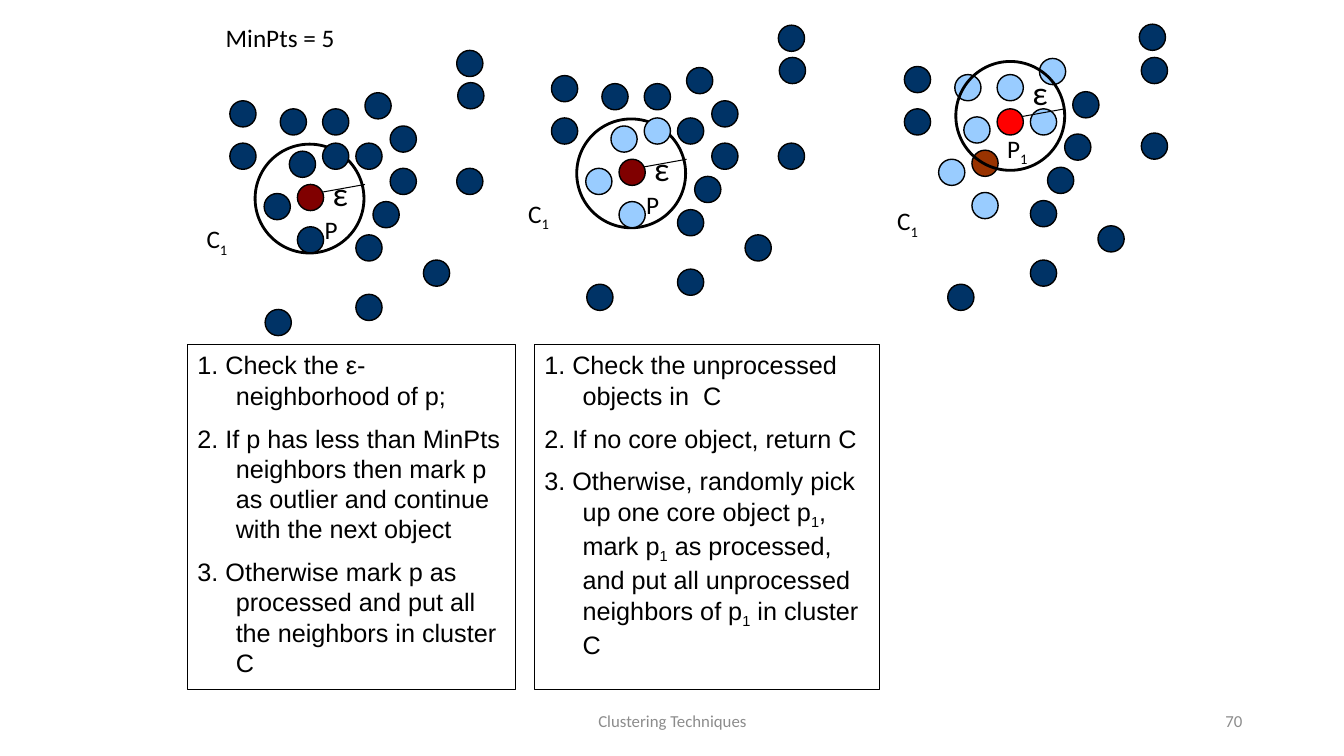
from lxml.etree import SubElement
from pptx import Presentation
from pptx.dml.color import RGBColor
from pptx.enum.shapes import MSO_CONNECTOR, MSO_SHAPE
from pptx.enum.text import MSO_ANCHOR as Anchor, MSO_AUTO_SIZE as AutoSize, PP_ALIGN as Align
from pptx.oxml.ns import qn
from pptx.util import Pt

PX = 9144  # 100 px to the inch
DOT, RING = 26, 108
NAVY, SKY, MAROON, BROWN, RED = "003366", "99CCFF", "800000", "993300", "FF0000"
BLACK, GREY = "000000", "8C8C8C"

# Dot positions inside a panel; the strays sit elsewhere in the last panel.
CLUSTER = [(50, 58), (59, 100), (92, 92), (34, 142), (125, 92), (92, 58),
           (67, 175), (134, 42), (159, 117), (142, 150), (0, 92), (125, 183),
           (0, 50), (192, 208), (125, 242), (67, 133)]
STRAYS = [(159, 75), (226, 32), (225, 0), (225, 117), (35, 257)]
LAST_STRAYS = [(167, 75), (235, 41), (233, 8), (235, 116), (43, 266)]
SEED, NEXT_CORE = 15, 2

START_STEPS = [
    "1. Check the ε-neighborhood of p;",
    "2. If p has less than MinPts neighbors then mark p as outlier and continue "
    "with the next object",
    "3. Otherwise mark p as processed and put all the neighbors in cluster C",
]
GROW_STEPS = [
    "1. Check the unprocessed objects in  C",
    "2. If no core object, return C",
    "3. Otherwise, randomly pick up one core object p_1, mark p_1 as processed, "
    "and put all unprocessed neighbors of p_1 in cluster C",
]


def px(*lengths):
    return [round(length * PX) for length in lengths]


def color(hex_code):
    return RGBColor.from_string(hex_code)


def outline(shape, width):
    shape.line.color.rgb = color(BLACK)
    shape.line.width = Pt(width)


def write(paragraph, text, size, font, ink=BLACK):
    """Add runs; the character after each underscore is a subscript."""
    def add(piece, subscript=False):
        if not piece:
            return
        run = paragraph.add_run()
        run.text = piece
        run.font.size, run.font.name = Pt(size), font
        run.font.color.rgb = color(ink)
        if subscript:
            run.font._element.set("baseline", "-25000")

    plain, *rest = text.split("_")
    add(plain)
    for piece in rest:
        add(piece[0], subscript=True)
        add(piece[1:])


def label(shapes, box, text, size=18):
    frame = shapes.add_textbox(*px(*box)).text_frame
    frame.word_wrap = True
    frame.auto_size = AutoSize.SHAPE_TO_FIT_TEXT
    write(frame.paragraphs[0], text, size, "Calibri")


def footer(shapes, box, text, align):
    frame = shapes.add_textbox(*px(*box)).text_frame
    frame.word_wrap = True
    frame.vertical_anchor = Anchor.MIDDLE
    frame.paragraphs[0].alignment = align
    write(frame.paragraphs[0], text, 12, "Calibri", GREY)


def circle(shapes, x, y, size, width, fill=None):
    oval = shapes.add_shape(MSO_SHAPE.OVAL, *px(x, y, size, size))
    oval.shadow.inherit = False
    if fill:
        oval.fill.solid()
        oval.fill.fore_color.rgb = color(fill)
    else:
        oval.fill.background()
    outline(oval, width)


def radius(shapes, x, y):
    line = shapes.add_connector(MSO_CONNECTOR.STRAIGHT, *px(x, y, x + 50, y - 9))
    outline(line, 0.75)
    SubElement(line._element.spPr, qn("a:effectLst"))


def scatter_panel(slide, left, top, core, fills, ring, epsilon, point, cluster,
                  strays=STRAYS, ring_in_front=False):
    """Draw the points with the ε-ring; fills maps cluster indices to colours."""
    shapes = slide.shapes.add_group_shape().shapes

    def draw_ring():
        circle(shapes, left + ring[0], top + ring[1], RING, 2)

    def draw_dot(spot, fill):
        circle(shapes, left + spot[0], top + spot[1], DOT, 1, fill)

    if not ring_in_front:
        draw_ring()
    for index, spot in enumerate(CLUSTER):
        if index != core:
            draw_dot(spot, fills.get(index, NAVY))
    for spot in strays:
        draw_dot(spot, NAVY)
    if ring_in_front:
        draw_ring()
    core_x, core_y = CLUSTER[core]
    radius(shapes, left + core_x + 17, top + core_y + 9)
    draw_dot(CLUSTER[core], fills[core])

    for text, (x, y), width, height, size in [
            ("ε", epsilon, 26, 50, 24), (*point, 58, 40, 18),
            ("C_1", cluster, 58, 40, 18)]:
        label(shapes, (left + x, top + y, width, height), text, size)


def steps_box(slide, box, steps):
    panel = slide.shapes.add_shape(MSO_SHAPE.RECTANGLE, *px(*box))
    panel.shadow.inherit = False
    panel.fill.background()
    outline(panel, 0.75)
    frame = panel.text_frame
    frame.word_wrap = True
    frame.auto_size = AutoSize.SHAPE_TO_FIT_TEXT
    frame.vertical_anchor = Anchor.TOP
    hang, = px(38)
    for number, step in enumerate(steps):
        paragraph = frame.add_paragraph() if number else frame.paragraphs[0]
        paragraph.alignment = Align.LEFT
        paragraph.space_before = Pt(9 if number else 0)
        properties = paragraph._p.get_or_add_pPr()
        properties.set("marL", str(hang))
        properties.set("indent", str(-hang))
        write(paragraph, step, 18, "Arial")


def main():
    deck = Presentation()
    deck.slide_width, deck.slide_height = px(1333, 750)
    slide = deck.slides.add_slide(deck.slide_layouts[6])

    footer(slide.shapes, (442, 695, 450, 40), "Clustering Techniques", Align.CENTER)
    footer(slide.shapes, (942, 695, 300, 40), "70", Align.RIGHT)
    label(slide.shapes, (214, 17, 275, 40), "MinPts = 5")

    seed_view = dict(core=SEED, ring=(25, 93), epsilon=(92, 117),
                     point=("P", (84, 158)), cluster=(-33, 167))
    scatter_panel(slide, 228, 50, fills={SEED: MAROON}, **seed_view)
    neighbors = dict.fromkeys([1, 2, 3, 6], SKY)
    scatter_panel(slide, 547, 25, fills={**neighbors, SEED: MAROON}, **seed_view)
    members = dict.fromkeys([0, 1, 3, 4, 5, 6, 7], SKY)
    scatter_panel(slide, 897, 16, core=NEXT_CORE,
                  fills={**members, SEED: BROWN, NEXT_CORE: RED},
                  ring=(51, 45), epsilon=(117, 50), point=("P_1", (92, 111)),
                  cluster=(-17, 183), strays=LAST_STRAYS, ring_in_front=True)

    steps_box(slide, (186, 342, 325, 342), START_STEPS)
    steps_box(slide, (530, 342, 342, 342), GROW_STEPS)
    deck.save("out.pptx")


if __name__ == "__main__":
    main()
